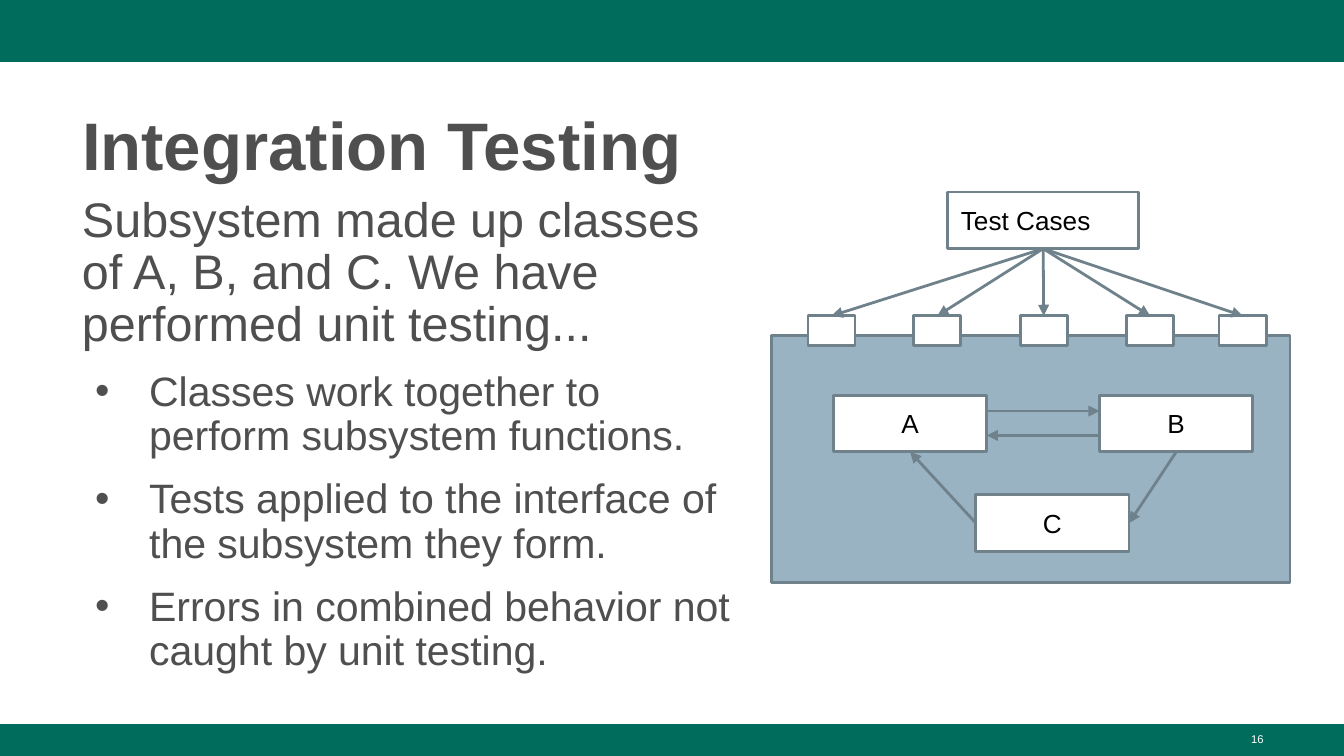
from dataclasses import dataclass

from lxml.etree import SubElement
from pptx import Presentation
from pptx.dml.color import RGBColor as RGB
from pptx.enum.shapes import MSO_CONNECTOR as Link, MSO_SHAPE as Preset
from pptx.enum.text import MSO_ANCHOR as Anchor, MSO_AUTO_SIZE as AutoSize, PP_ALIGN as Align
from pptx.oxml.ns import qn
from pptx.util import Cm, Pt


@dataclass(frozen=True)
class Theme:
    font: str = "Arial"
    band: str = "006C5C"
    text: str = "4F4F4F"
    outline: str = "6F828C"
    panel: str = "99B3C2"
    white: str = "FFFFFF"
    black: str = "000000"
    title_size: float = 36
    lead_size: float = 26
    bullet_size: float = 22
    label_size: float = 14
    number_size: float = 6
    line_width: float = 1.5


def write(paragraph, text, *, font, size, color, bold=False, align=Align.LEFT,
          spacing=1.0, before=0, bullet=None):
    """Put formatted text into a paragraph, with an optional hanging bullet."""
    if bullet:
        props = paragraph._p.get_or_add_pPr()
        props.set("marL", str(Cm(1.27)))
        props.set("indent", str(-Cm(1.02)))
        SubElement(SubElement(props, qn("a:buClr")), qn("a:srgbClr"), val=color)
        SubElement(props, qn("a:buFont"), typeface=font)
        SubElement(props, qn("a:buChar"), char=bullet)
    paragraph.alignment = align
    paragraph.line_spacing = spacing
    paragraph.space_before = Pt(before)
    run = paragraph.add_run()
    run.text = text
    run.font.name = font
    run.font.size = Pt(size)
    run.font.bold = bold
    run.font.color.rgb = RGB.from_string(color)


class SlideBuilder:
    def __init__(self, slide, theme):
        self.slide, self.theme = slide, theme

    def frame(self, shape, anchor=Anchor.TOP, margin=0.13):
        frame = shape.text_frame
        frame.word_wrap = True
        frame.auto_size = AutoSize.NONE
        frame.vertical_anchor = anchor
        frame.margin_left = frame.margin_right = Cm(0.25)
        frame.margin_top = frame.margin_bottom = Cm(margin)
        return frame

    def title(self, text, left, top, width, height):
        title = self.slide.shapes.title
        title.left, title.top, title.width, title.height = map(Cm, (left, top, width, height))
        write(self.frame(title).paragraphs[0], text, font=self.theme.font, bold=True,
              size=self.theme.title_size, color=self.theme.text, spacing=1.08)

    def text(self, left, top, width, height):
        box = self.slide.shapes.add_textbox(*map(Cm, (left, top, width, height)))
        return self.frame(box)

    def box(self, left, top, width, height, fill, outlined=True, label=None, align=Align.CENTER):
        box = self.slide.shapes.add_shape(Preset.RECTANGLE, *map(Cm, (left, top, width, height)))
        box.shadow.inherit = False
        box.fill.solid()
        box.fill.fore_color.rgb = RGB.from_string(fill)
        if outlined:
            self.outline(box.line)
        else:
            box.line.fill.background()
        if label:
            write(self.frame(box, Anchor.MIDDLE, 0.25).paragraphs[0], label, align=align,
                  font=self.theme.font, size=self.theme.label_size, color=self.theme.black)
        return box

    def outline(self, line):
        line.color.rgb = RGB.from_string(self.theme.outline)
        line.width = Pt(self.theme.line_width)

    def arrow(self, start=(0, 0), end=(0, 0)):
        arrow = self.slide.shapes.add_connector(Link.STRAIGHT, *map(Cm, (*start, *end)))
        self.outline(arrow.line)
        SubElement(arrow.line._get_or_add_ln(), qn("a:tailEnd"), type="triangle")
        SubElement(arrow._element.spPr, qn("a:effectLst"))
        return arrow

    def join(self, source, source_side, target, target_side):
        arrow = self.arrow()
        arrow.begin_connect(source, source_side)
        arrow.end_connect(target, target_side)


def main():
    theme = Theme()
    deck = Presentation()
    deck.slide_width, deck.slide_height = Cm(25.4), Cm(14.29)
    page = SlideBuilder(deck.slides.add_slide(deck.slide_layouts[5]), theme)

    # Header and footer bands
    for top, height in ((0, 1.17), (13.69, 0.6)):
        page.box(0, top, 25.4, height, theme.band, outlined=False)

    # Title, lead sentence and bullets
    page.title("Integration Testing", 1.3, 1.7, 22.83, 1.85)
    body = page.text(1.3, 3.56, 13.13, 9.68)
    write(body.paragraphs[0],
          "Subsystem made up classes of A, B, and C. We have performed unit testing...",
          font=theme.font, size=theme.lead_size, color=theme.text, spacing=0.9)
    for point in ("Classes work together to perform subsystem functions.",
                  "Tests applied to the interface of the subsystem they form.",
                  "Errors in combined behavior not caught by unit testing."):
        write(body.add_paragraph(), point, font=theme.font, size=theme.bullet_size,
              color=theme.text, spacing=0.9, before=10, bullet="•")

    # Subsystem with its three classes
    page.box(14.58, 6.35, 9.8, 4.67, theme.panel)
    class_width, class_height = 2.9, 1.07
    a_left, b_left, row_top = 15.75, 20.78, 7.47
    class_a, class_b, class_c = (
        page.box(left, top, class_width, class_height, theme.white, label=name)
        for name, left, top in (("A", a_left, row_top), ("B", b_left, row_top), ("C", 18.44, 9.35)))

    # Calls between classes; connection sites run top, left, bottom, right
    TOP, LEFT, BOTTOM, RIGHT = range(4)
    a_right = a_left + class_width
    page.arrow((a_right, 7.77), (b_left, 7.77))
    page.arrow((b_left, 8.23), (a_right, 8.23))
    page.join(class_b, BOTTOM, class_c, RIGHT)
    page.join(class_c, LEFT, class_a, BOTTOM)

    # Test cases reaching the interface ports
    test_cases = page.box(17.91, 3.63, 3.61, 1.07, theme.white,
                          label="Test Cases", align=Align.LEFT)
    ports = [page.box(left, 5.97, 0.89, 0.56, theme.white)
             for left in (15.27, 17.27, 19.28, 21.29, 23.04)]
    for port in ports:
        page.join(test_cases, BOTTOM, port, TOP)

    # Page number
    write(page.text(18.21, 13.72, 5.92, 0.57).paragraphs[0], "16", font=theme.font,
          size=theme.number_size, color=theme.white, align=Align.RIGHT)

    deck.save("out.pptx")


if __name__ == "__main__":
    main()
